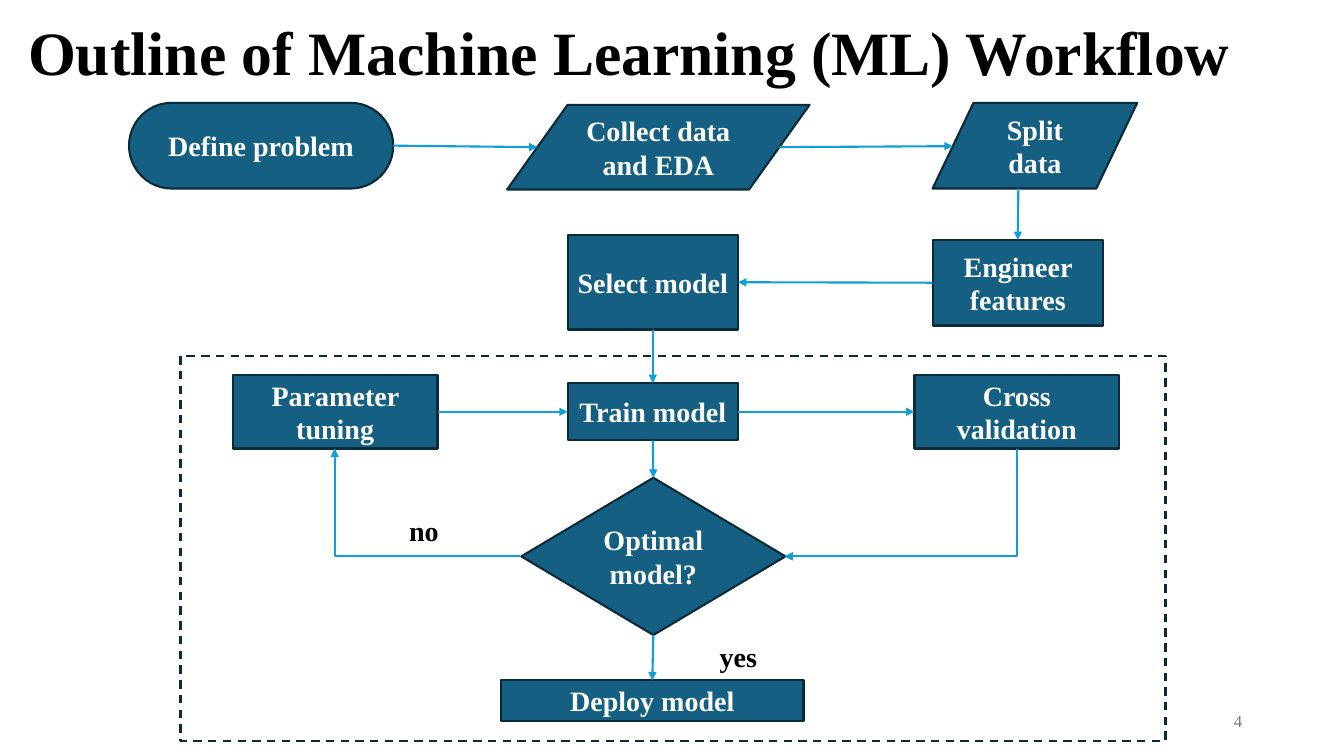
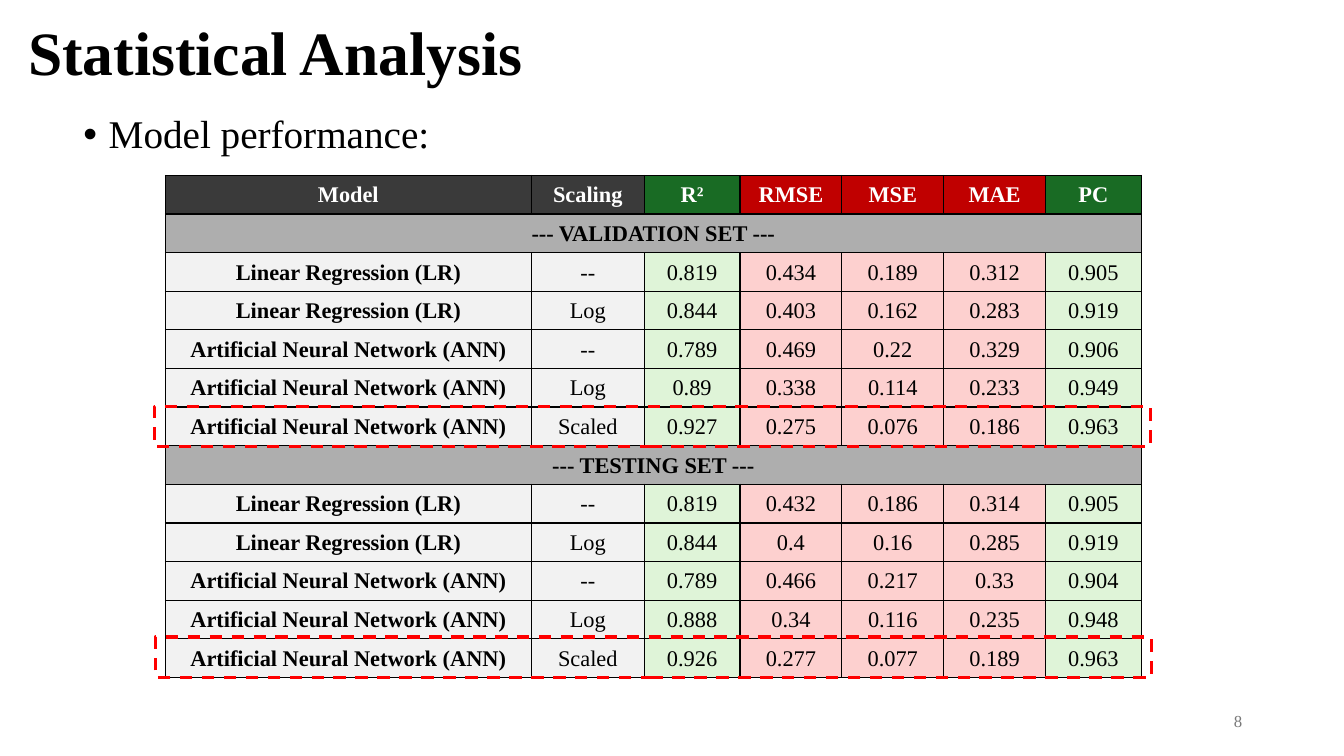
from lxml.etree import SubElement
from pptx import Presentation
from pptx.dml.color import RGBColor
from pptx.enum.dml import MSO_LINE
from pptx.enum.shapes import MSO_CONNECTOR as LINK, MSO_SHAPE as SHAPE
from pptx.enum.text import MSO_ANCHOR as ANCHOR, PP_ALIGN as ALIGN
from pptx.oxml import parse_xml
from pptx.oxml.ns import nsdecls, qn
from pptx.util import Inches, Pt

FONT = "Times New Roman"
BLACK = RGBColor(0x00, 0x00, 0x00)
WHITE = RGBColor(0xFF, 0xFF, 0xFF)
GRAY = RGBColor(0x79, 0x79, 0x79)
BLUE = RGBColor(0x15, 0x60, 0x82)
NAVY = RGBColor(0x09, 0x2A, 0x39)
SKY = RGBColor(0x0F, 0x9E, 0xD5)
RED = RGBColor(0xFF, 0x00, 0x00)
CHARCOAL = RGBColor(0x3A, 0x3A, 0x3A)
SILVER = RGBColor(0xAE, 0xAE, 0xAE)
PALE_GRAY = RGBColor(0xF2, 0xF2, 0xF2)
GREEN = RGBColor(0x19, 0x6B, 0x24)
PALE_GREEN = RGBColor(0xDF, 0xF4, 0xD8)
CRIMSON = RGBColor(0xC0, 0x00, 0x00)
PALE_RED = RGBColor(0xFD, 0xD0, 0xCF)


def write(text, frame, size=20, color=BLACK, bold=False, align=ALIGN.LEFT,
          anchor=ANCHOR.MIDDLE, spacing=None):
    frame.word_wrap = True
    frame.vertical_anchor = anchor
    paragraph = frame.paragraphs[0]
    paragraph.alignment = align
    paragraph.line_spacing = spacing
    run = paragraph.add_run()
    run.text = text
    run.font.name = FONT
    run.font.size = Pt(size)
    run.font.bold = bold
    run.font.color.rgb = color
    return paragraph


def add_box(slide, kind, place, line, width=1.5, fill=None):
    box = slide.shapes.add_shape(kind, *map(Inches, place))
    box.shadow.inherit = False
    box.line.color.rgb = line
    box.line.width = Pt(width)
    if fill is None:
        box.fill.background()
        box.line.dash_style = MSO_LINE.DASH
    else:
        box.fill.solid()
        box.fill.fore_color.rgb = fill
    return box


deck = Presentation()
deck.slide_width = Inches(13.33)
deck.slide_height = Inches(7.5)

slides = []
for heading, number in [("Outline of Machine Learning (ML) Workflow", "4"),
                        ("Statistical Analysis", "8")]:
    slide = deck.slides.add_slide(deck.slide_layouts[6])
    title = slide.shapes.add_textbox(Inches(0.18), Inches(0.02), Inches(12.82), Inches(1.07))
    write(heading, title.text_frame, size=44, bold=True, spacing=0.9)
    footer = slide.shapes.add_textbox(Inches(9.42), Inches(6.95), Inches(3), Inches(0.4))
    write(number, footer.text_frame, size=12, color=GRAY, align=ALIGN.RIGHT)
    slides.append(slide)
workflow, analysis = slides

steps = {}
for label, kind, place in [
    ("Train model", SHAPE.RECTANGLE, (5.63, 3.8, 1.69, 0.57)),
    ("Define problem", SHAPE.FLOWCHART_TERMINATOR, (1.28, 1.02, 2.62, 0.85)),
    ("Collect data and EDA", SHAPE.FLOWCHART_DATA, (5.03, 1.04, 3, 0.84)),
    ("Engineer features", SHAPE.RECTANGLE, (9.25, 2.38, 1.69, 0.85)),
    ("Select model", SHAPE.RECTANGLE, (5.63, 2.33, 1.69, 0.94)),
    ("Split data", SHAPE.FLOWCHART_DATA, (9.25, 1.02, 2.03, 0.85)),
    ("Cross validation", SHAPE.RECTANGLE, (9.07, 3.72, 2.03, 0.73)),
    ("Parameter tuning", SHAPE.RECTANGLE, (2.31, 3.72, 2.03, 0.73)),
    ("Optimal model?", SHAPE.DIAMOND, (5.17, 4.74, 2.62, 1.56)),
    ("Deploy model", SHAPE.RECTANGLE, (4.97, 6.75, 3, 0.4)),
]:
    steps[label] = add_box(workflow, kind, place, NAVY, fill=BLUE)
    write(label, steps[label].text_frame, color=WHITE, bold=True, align=ALIGN.CENTER)

TOP, LEFT, BOTTOM, RIGHT = range(4)
arrows = []
for start, end in [
    (("Define problem", RIGHT), (5.33, 1.46)),
    ((7.73, 1.46), (9.45, 1.45)),
    ((10.1, 1.87), ("Engineer features", TOP)),
    (("Engineer features", LEFT), ("Select model", RIGHT)),
    (("Select model", BOTTOM), ("Train model", TOP)),
    (("Train model", BOTTOM), ("Optimal model?", TOP)),
    (("Train model", RIGHT), ("Cross validation", LEFT)),
    (("Parameter tuning", RIGHT), ("Train model", LEFT)),
    (("Optimal model?", BOTTOM), ("Deploy model", TOP)),
]:
    points = [(0, 0) if at[0] in steps else at for at in (start, end)]
    arrow = workflow.shapes.add_connector(LINK.STRAIGHT, *map(Inches, points[0] + points[1]))
    if start[0] in steps:
        arrow.begin_connect(steps[start[0]], start[1])
    if end[0] in steps:
        arrow.end_connect(steps[end[0]], end[1])
    arrows.append(arrow)

for left, top, width, height, degrees in [(8.4, 3.83, 1.07, 2.31, 90),
                                          (3.32, 4.45, 1.84, 1.07, 180)]:
    arrow = workflow.shapes.add_connector(
        LINK.ELBOW, *map(Inches, (left, top, left + width, top + height)))
    properties = arrow._element.spPr
    properties.find(qn("a:prstGeom")).set("prst", "bentConnector2")
    properties.find(qn("a:xfrm")).set("rot", str(degrees * 60000))
    arrows.append(arrow)

for arrow in arrows:
    arrow.line.color.rgb = SKY
    arrow.line.width = Pt(1.5)
    SubElement(arrow.line._get_or_add_ln(), qn("a:tailEnd"), type="triangle")
    SubElement(arrow._element.spPr, qn("a:effectLst"))

for answer, left, top in [("yes", 7.04, 6.3), ("no", 3.96, 5.05)]:
    branch = workflow.shapes.add_textbox(Inches(left), Inches(top), Inches(0.76), Inches(0.44))
    write(answer, branch.text_frame, bold=True, anchor=ANCHOR.TOP)

add_box(workflow, SHAPE.RECTANGLE, (1.79, 3.53, 9.77, 3.82), NAVY)

topic = analysis.shapes.add_textbox(Inches(0.73), Inches(1.09), Inches(11.5), Inches(0.65))
bullet = write("Model performance:", topic.text_frame, size=28, anchor=ANCHOR.TOP, spacing=0.9)
bullet.space_before = Pt(10)
indent = bullet._p.get_or_add_pPr()
indent.set("marL", str(Inches(0.25)))
indent.set("indent", str(-Inches(0.25)))
SubElement(indent, qn("a:buFont"), typeface="Arial")
SubElement(indent, qn("a:buChar"), char="•")

LR = "Linear Regression (LR)"
ANN = "Artificial Neural Network (ANN)"
rows = [
    ("Model", "Scaling", "R²", "RMSE", "MSE", "MAE", "PC"),
    ("--- VALIDATION SET ---",),
    (LR, "--", "0.819", "0.434", "0.189", "0.312", "0.905"),
    (LR, "Log", "0.844", "0.403", "0.162", "0.283", "0.919"),
    (ANN, "--", "0.789", "0.469", "0.22", "0.329", "0.906"),
    (ANN, "Log", "0.89", "0.338", "0.114", "0.233", "0.949"),
    (ANN, "Scaled", "0.927", "0.275", "0.076", "0.186", "0.963"),
    ("--- TESTING SET ---",),
    (LR, "--", "0.819", "0.432", "0.186", "0.314", "0.905"),
    (LR, "Log", "0.844", "0.4", "0.16", "0.285", "0.919"),
    (ANN, "--", "0.789", "0.466", "0.217", "0.33", "0.904"),
    (ANN, "Log", "0.888", "0.34", "0.116", "0.235", "0.948"),
    (ANN, "Scaled", "0.926", "0.277", "0.077", "0.189", "0.963"),
]
widths = [3.63, 1.12, 0.95, 1.01, 1.01, 1.01, 0.95]
header_fills = [CHARCOAL] * 2 + [GREEN] + [CRIMSON] * 3 + [GREEN]
body_fills = [PALE_GRAY] * 2 + [PALE_GREEN] + [PALE_RED] * 3 + [PALE_GREEN]

scores = analysis.shapes.add_table(len(rows), len(widths), Inches(1.64), Inches(1.74),
                                   Inches(sum(widths)), Inches(4.98)).table
scores.first_row = False
scores.horz_banding = False
for column, width in zip(scores.columns, widths):
    column.width = Inches(width)

for r, values in enumerate(rows):
    section = len(values) == 1
    if section:
        scores.cell(r, 0).merge(scores.cell(r, len(widths) - 1))
    fills = header_fills if r == 0 else [SILVER] * 7 if section else body_fills
    for c, fill in enumerate(fills):
        cell = scores.cell(r, c)
        cell.margin_left = cell.margin_right = cell.margin_top = Inches(0.01)
        cell.margin_bottom = 0
        cell.vertical_anchor = ANCHOR.MIDDLE
        cell.fill.solid()
        cell.fill.fore_color.rgb = fill
        for i, side in enumerate(("lnL", "lnR", "lnT", "lnB")):
            cell._tc.get_or_add_tcPr().insert(i, parse_xml(
                f'<a:{side} {nsdecls("a")} w="{Pt(1)}"><a:solidFill>'
                f'<a:srgbClr val="{BLACK}"/></a:solidFill></a:{side}>'))
        if c < len(values):
            write(values[c], cell.text_frame, size=16, color=WHITE if r == 0 else BLACK,
                  bold=r == 0 or c == 0, align=ALIGN.CENTER)

for left, top in [(1.53, 4.03), (1.54, 6.32)]:
    add_box(analysis, SHAPE.RECTANGLE, (left, top, 9.88, 0.4), RED, width=2.25)

deck.save("out.pptx")
